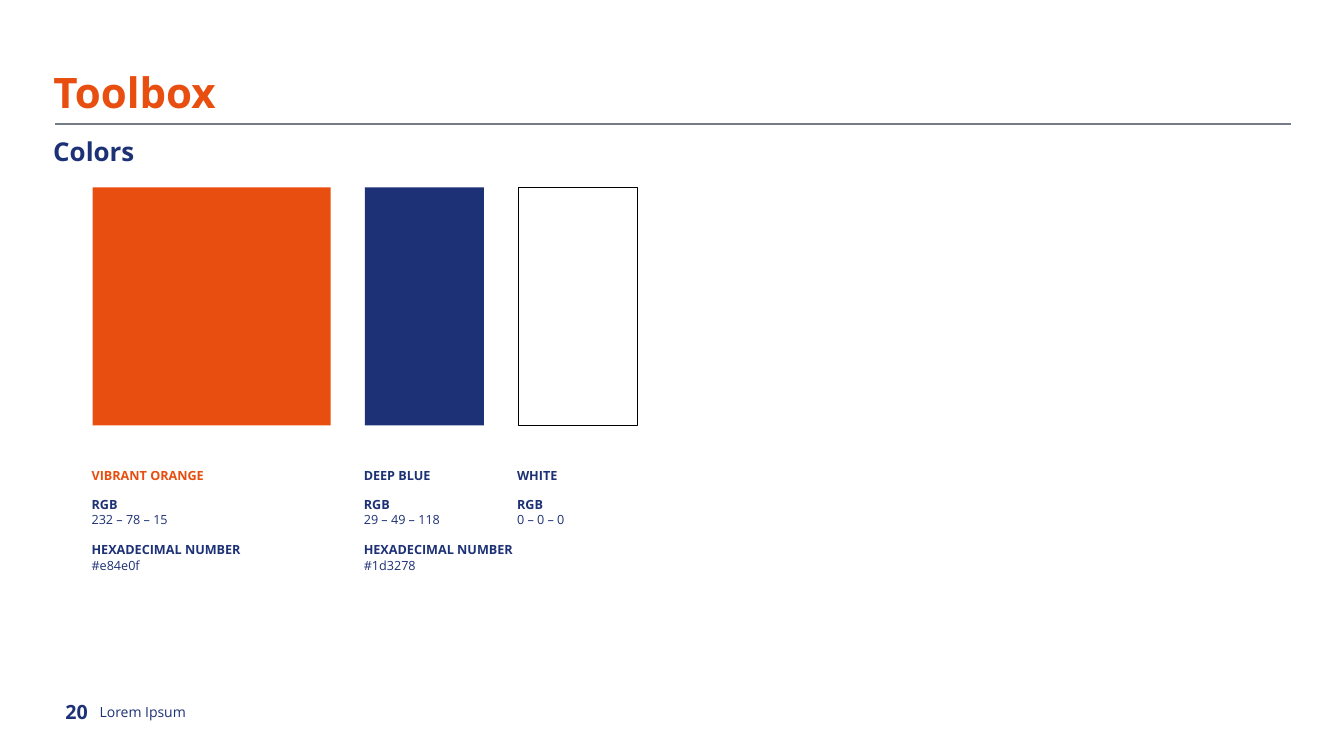
from dataclasses import dataclass

from pptx import Presentation
from pptx.dml.color import RGBColor as Rgb
from pptx.enum.shapes import MSO_CONNECTOR as Link, MSO_SHAPE as Kind
from pptx.enum.text import MSO_ANCHOR as Anchor, MSO_AUTO_SIZE as Fit, PP_ALIGN as Align
from pptx.oxml.ns import qn
from pptx.util import Inches, Pt
from lxml.etree import SubElement


@dataclass(frozen=True)
class Theme:
    font: str = "Open Sans"
    orange: str = "E84E0F"
    blue: str = "1D3176"
    white: str = "FFFFFF"
    black: str = "000000"
    rule: str = "757B87"
    title: float = 30
    head: float = 18.5
    page: float = 14
    foot: float = 10
    body: float = 9
    gap: float = 10.8


class Deck:
    """Holds the theme and the slide being drawn."""

    def __init__(self, theme):
        self.theme = theme
        self.file = Presentation()
        self.file.slide_width = Inches(13.33)
        self.file.slide_height = Inches(7.5)
        self.slide = self.file.slides.add_slide(self.file.slide_layouts[5])

    def add_run(self, para, text, size, color, bold=False):
        run = para.add_run()
        run.text = text
        font = run.font
        font.name, font.size, font.bold = self.theme.font, Pt(size), bold
        font.color.rgb = Rgb.from_string(color)

    def frame(self, shape, anchor, pad=0.05):
        frame = shape.text_frame
        frame.word_wrap, frame.auto_size = True, Fit.NONE
        frame.vertical_anchor = anchor
        frame.margin_left = frame.margin_right = Inches(0.1)
        frame.margin_top = frame.margin_bottom = Inches(pad)
        return frame

    def title(self, text, x, y, w, h):
        shape = self.slide.shapes.title
        shape.left, shape.top, shape.width, shape.height = map(Inches, (x, y, w, h))
        para = self.frame(shape, Anchor.MIDDLE).paragraphs[0]
        para.alignment, para.line_spacing = Align.LEFT, 0.9
        self.add_run(para, text, self.theme.title, self.theme.orange, True)

    def text(self, lines, x, y, w, h, size, color, anchor=Anchor.TOP, pad=0.05, space=None):
        """Add a text box; each line is (text, bold, space before in points)."""
        box = self.slide.shapes.add_textbox(*map(Inches, (x, y, w, h)))
        frame = self.frame(box, anchor, pad)
        for i, (text, bold, gap) in enumerate(lines):
            para = frame.add_paragraph() if i else frame.paragraphs[0]
            para.space_before = Pt(gap)
            if space:
                para.line_spacing = space
            self.add_run(para, text, size, color, bold)

    def line(self, x1, y1, x2, y2, color, width):
        link = self.slide.shapes.add_connector(
            Link.STRAIGHT, *map(Inches, (x1, y1, x2, y2)))
        link.line.color.rgb = Rgb.from_string(color)
        link.line.width = Pt(width)
        SubElement(link._element.spPr, qn("a:effectLst"))

    def rect(self, x, y, w, h, fill, edge=None):
        shape = self.slide.shapes.add_shape(Kind.RECTANGLE, *map(Inches, (x, y, w, h)))
        shape.shadow.inherit = False
        shape.fill.solid()
        shape.fill.fore_color.rgb = Rgb.from_string(fill)
        if edge:
            shape.line.color.rgb = Rgb.from_string(edge)
            shape.line.width = Pt(0.75)
        else:
            shape.line.fill.background()

    def swatch(self, x, w, name, rgb, code, fill, ink, edge=None):
        """Add a colour block with its name and values below."""
        look = self.theme
        self.rect(x, 1.86, w, 2.36, fill, edge)
        left = x - 0.11
        self.text([(name, True, 0)], left, 4.59, 1.72, 0.25, look.body, ink)
        rows = [("RGB", True, 0), (rgb, False, 0)]
        if code:
            rows += [("HEXADECIMAL NUMBER", True, look.gap), (code, False, 0)]
        self.text(rows, left, 4.88, 1.72, 0.86 if code else 0.4, look.body, look.blue)


def main():
    look = Theme()
    deck = Deck(look)
    deck.line(0.55, 1.23, 12.8, 1.23, look.rule, 1)
    deck.title("Toolbox", 0.43, 0.67, 12.4, 0.55)
    deck.text([("Colors", True, 0)], 0.43, 1.33, 12.4, 0.39, look.head, look.blue, space=0.9)

    swatches = [
        (2.36, "VIBRANT ORANGE", "232 – 78 – 15", "#e84e0f", look.orange, look.orange),
        (1.18, "DEEP BLUE", "29 – 49 – 118", "#1d3278", look.blue, look.blue),
        (1.18, "WHITE", "0 – 0 – 0", None, look.white, look.blue, look.black),
    ]
    x = 0.92
    for wide, *rest in swatches:
        deck.swatch(x, wide, *rest)
        x += wide + 0.34

    deck.text([("20", True, 0)], 0.55, 6.86, 0.58, 0.4, look.page, look.blue, Anchor.MIDDLE)
    deck.text([("Lorem Ipsum", False, 0)], 0.89, 6.88, 3.74, 0.37, look.foot, look.blue, pad=0.1)
    deck.file.save("out.pptx")


if __name__ == "__main__":
    main()
